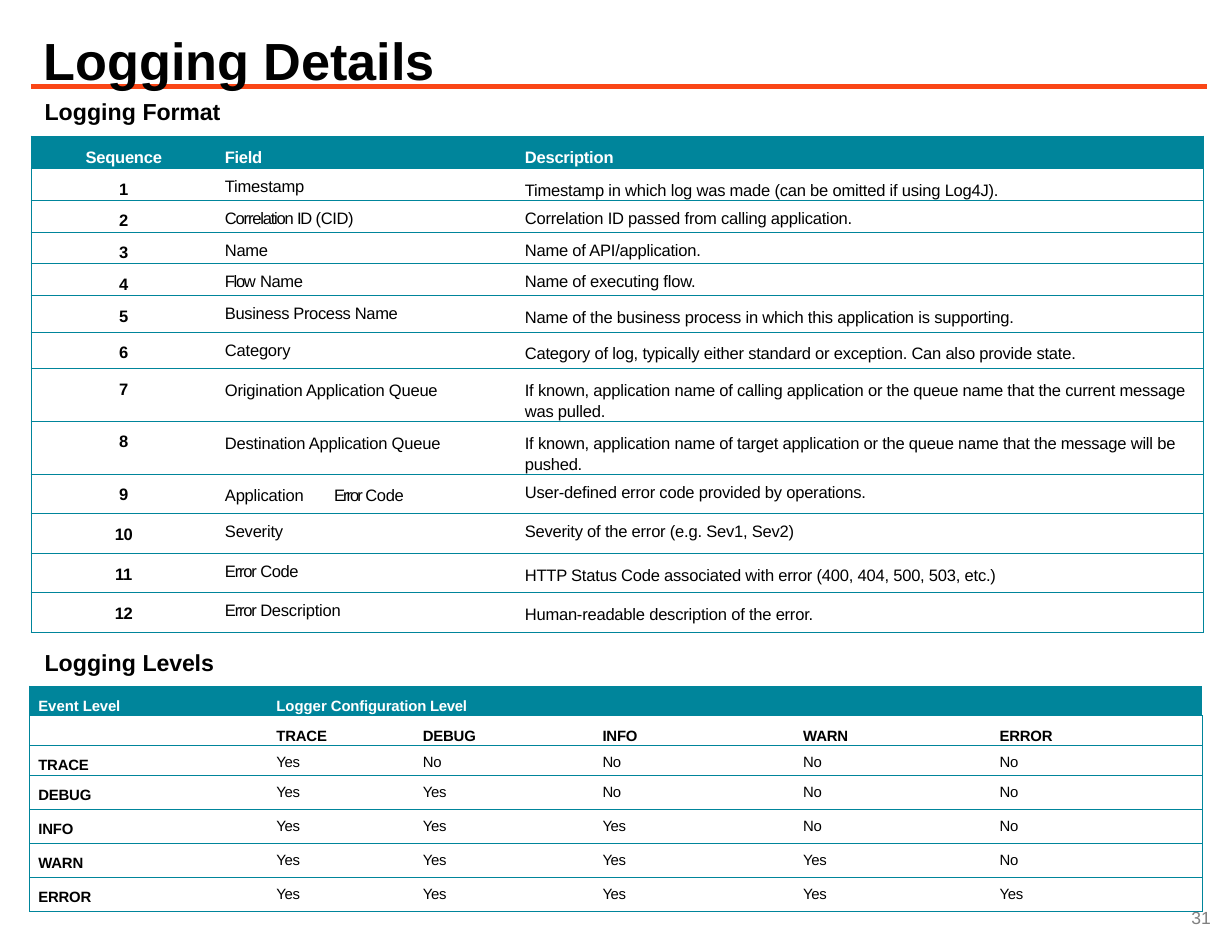
from pptx import Presentation
from pptx.dml.color import RGBColor
from pptx.enum.shapes import MSO_CONNECTOR
from pptx.enum.text import MSO_ANCHOR, PP_ALIGN
from pptx.oxml.ns import qn
from pptx.util import Pt
from lxml.etree import SubElement

TEAL, RED, BLACK, WHITE, GREY = "00859B", "FA4616", "000000", "FFFFFF", "808080"
NO_GRID_STYLE = "{2D5ABB26-0587-4C30-8999-92F81FD0307C}"
TIGHT, LOOSE = (5.6, None), (6.4, 12.7)  # top margin, exact line spacing

# field runs with their letter spacing, field layout, description, description layout
FORMAT_ROWS = [
    ([("Timestamp", -.1)], TIGHT,
     "Timestamp in which log was made (can be omitted if using Log4J).", LOOSE),
    ([("Correlation ", -.7), ("ID ", -.8), ("(CID)", -.2)], TIGHT,
     "Correlation ID passed from calling application.", TIGHT),
    ([("Name", -.2)], TIGHT, "Name of API/application.", TIGHT),
    ([("Flow", -.8), (" Name", -.2)], TIGHT, "Name of executing flow.", TIGHT),
    ([("Business Process Name", -.2)], TIGHT,
     "Name of the business process in which this application is supporting.", LOOSE),
    ([("Category", -.1)], TIGHT,
     "Category of log, typically either standard or exception. Can also provide state.", LOOSE),
    ([("Origination Application Queue", -.1)], LOOSE,
     "If known, application name of calling application or the queue name "
     "that the current message was pulled.", LOOSE),
    ([("Destination Application Queue", -.1)], LOOSE,
     "If known, application name of target application or the queue name "
     "that the message will be pushed.", LOOSE),
    ([("Application\t", -.1), ("Error ", -1.2), ("Code", -.2)], LOOSE,
     "User-defined error code provided by operations.", TIGHT),
    ([("Severity", -.1)], TIGHT, "Severity of the error (e.g. Sev1, Sev2)", TIGHT),
    ([("Error ", -.7), ("Code", -.2)], TIGHT,
     "HTTP Status Code associated with error (400, 404, 500, 503, etc.)", LOOSE),
    ([("Error ", -.7), ("Description", -.1)], TIGHT,
     "Human-readable description of the error.", LOOSE),
]
LEVELS = ["TRACE", "DEBUG", "INFO", "WARN", "ERROR"]


def rgb(color):
    return RGBColor.from_string(color)


def add_runs(p, runs, size, color=BLACK, bold=False):
    """Add (text, letter spacing) pairs to a paragraph."""
    for text, spacing in runs:
        r = p.add_run()
        r.text = text
        f = r.font
        f.name, f.size, f.bold = "Arial", Pt(size), bold
        f.color.rgb = rgb(color)
        r._r.get_or_add_rPr().set("spc", str(round(spacing * 100)))


def set_margins(tf, left, top, right=0, bottom=0):
    tf.margin_left, tf.margin_top = Pt(left), Pt(top)
    tf.margin_right, tf.margin_bottom = Pt(right), Pt(bottom)


def set_border(cell, side):
    ln = SubElement(cell._tc.get_or_add_tcPr(), qn(f"a:ln{side}"), w=str(Pt(.5)))
    SubElement(SubElement(ln, qn("a:solidFill")), qn("a:srgbClr"), val=TEAL)


def fill_cell(cell, runs, size, left, top, spacing=None, **font):
    set_margins(cell, left, top)
    p = cell.text_frame.paragraphs[0]
    if spacing:
        p.line_spacing = Pt(spacing)
    add_runs(p, runs, size, **font)
    if not runs:  # an empty cell would otherwise take the height of 18 pt text
        SubElement(p._p, qn("a:endParaRPr"), sz=str(size * 100))
    return p


def add_grid(slide, box, widths, heights):
    """Add a table with a teal frame, header and horizontal lines."""
    cols = len(widths)
    table = slide.shapes.add_table(len(heights), cols, *map(Pt, box)).table
    table.first_row = table.horz_banding = False
    table._tbl.tblPr.find(qn("a:tableStyleId")).text = NO_GRID_STYLE
    for col, width in zip(table.columns, widths):
        col.width = Pt(width)
    for i, height in enumerate(heights):
        table.rows[i].height = Pt(height)
        for j in range(cols):
            cell = table.cell(i, j)
            if j == 0:
                set_border(cell, "L")
            if j == cols - 1:
                set_border(cell, "R")
            set_border(cell, "T")
            set_border(cell, "B")
            if i == 0:
                cell.fill.solid()
                cell.fill.fore_color.rgb = rgb(TEAL)
            else:
                cell.fill.background()
    return table


def add_format_table(slide, left, top):
    widths = [111.6, 181.4, 416.2]
    heights = [19.2] * 2 + [18.8] * 3 + [22] * 2 + [32] * 2 + [24] * 4
    table = add_grid(slide, (left, top, sum(widths), sum(heights)), widths, heights)
    for j, (text, spacing) in enumerate([("Sequence", -.1), ("Field", -.2), ("Description", -.1)]):
        p = fill_cell(table.cell(0, j), [(text, spacing)], 10, 5.8 if j else .7, 7.5,
                      color=WHITE, bold=True)
        if j == 0:
            p.alignment = PP_ALIGN.CENTER
    for i, (field, field_layout, description, description_layout) in enumerate(FORMAT_ROWS, 1):
        p = fill_cell(table.cell(i, 0), [(str(i), -.2 if i > 9 else 0)], 10, .7, 7.2, bold=True)
        p.alignment = PP_ALIGN.CENTER
        p = fill_cell(table.cell(i, 1), field, 10, 5.8, *field_layout)
        if "\t" in field[0][0]:
            tabs = SubElement(p._p.get_or_add_pPr(), qn("a:tabLst"))
            SubElement(tabs, qn("a:tab"), pos=str(Pt(66)), algn="l")
        fill_cell(table.cell(i, 2), [(description, -.1)], 10, 5.8, *description_layout)


def add_levels_table(slide, left, top):
    widths = [144, 88.6, 108.7, 121.4, 118.8, 127.8]
    heights = [18, 17.6, 18] + [20.5] * 4
    table = add_grid(slide, (left, top, sum(widths), sum(heights)), widths, heights)
    table.cell(0, 1).merge(table.cell(0, 5))
    head = dict(size=9, left=5.2, top=7.2, bold=True)
    fill_cell(table.cell(0, 0), [("Event ", 0), ("Level", -.1)], color=WHITE, **head)
    fill_cell(table.cell(0, 1), [("Logger ", 0), ("Configuration ", -.1), ("Level", -.2)],
              color=WHITE, **head)
    fill_cell(table.cell(1, 0), [], **head)
    for i, level in enumerate(LEVELS):
        fill_cell(table.cell(1, i + 1), [(level, -.1)], **head)
        fill_cell(table.cell(i + 2, 0), [(level, -.1)], **head)
        for j in range(len(LEVELS)):
            answer = "Yes" if j <= i else "No"
            fill_cell(table.cell(i + 2, j + 1), [(answer, -.2)], 9, 5.2, 5.3)


def add_title(slide, left, top, width, height):
    title = slide.shapes.title
    title.left, title.top, title.width, title.height = map(Pt, (left, top, width, height))
    tf = title.text_frame
    tf.vertical_anchor = MSO_ANCHOR.TOP
    set_margins(tf, 7.7, 3.6)
    p = tf.paragraphs[0]
    p.alignment = PP_ALIGN.LEFT
    add_runs(p, [("Logging Details", 0)], 31.6, bold=True)
    y = Pt(top + height)
    rule = slide.shapes.add_connector(MSO_CONNECTOR.STRAIGHT, Pt(left), y, Pt(left + width), y)
    rule.line.color.rgb = rgb(RED)
    rule.line.width = Pt(3)
    SubElement(rule._element.spPr, qn("a:effectLst"))
    slide.shapes._spTree.insert(2, rule._element)  # behind the title


def add_label(slide, box, runs, size, color=BLACK, bold=False,
              align=PP_ALIGN.LEFT, anchor=MSO_ANCHOR.TOP):
    tf = slide.shapes.add_textbox(*map(Pt, box)).text_frame
    tf.word_wrap = True
    tf.vertical_anchor = anchor
    set_margins(tf, 8.3, 3.8, 7.2, 3.6)
    p = tf.paragraphs[0]
    p.alignment = align
    add_runs(p, runs, size, color, bold)


def main():
    prs = Presentation()
    prs.slide_width, prs.slide_height = Pt(745.2), Pt(576)
    slide = prs.slides.add_slide(prs.slide_layouts[5])
    add_title(slide, 18.7, 13.7, 711.4, 38.9)
    for top, word in [(55.4, "Format"), (388.8, "Levels")]:
        add_label(slide, (18.7, top, 372.2, 24.5), [("Logging ", 0), (word, -.1)], 14, bold=True)
    add_format_table(slide, 18.7, 82.3)
    add_levels_table(slide, 18, 415)
    add_label(slide, (571.7, 539.3, 167.8, 31), [("31", 0)], 10.6, GREY,
              align=PP_ALIGN.RIGHT, anchor=MSO_ANCHOR.MIDDLE)
    prs.save("out.pptx")


if __name__ == "__main__":
    main()
